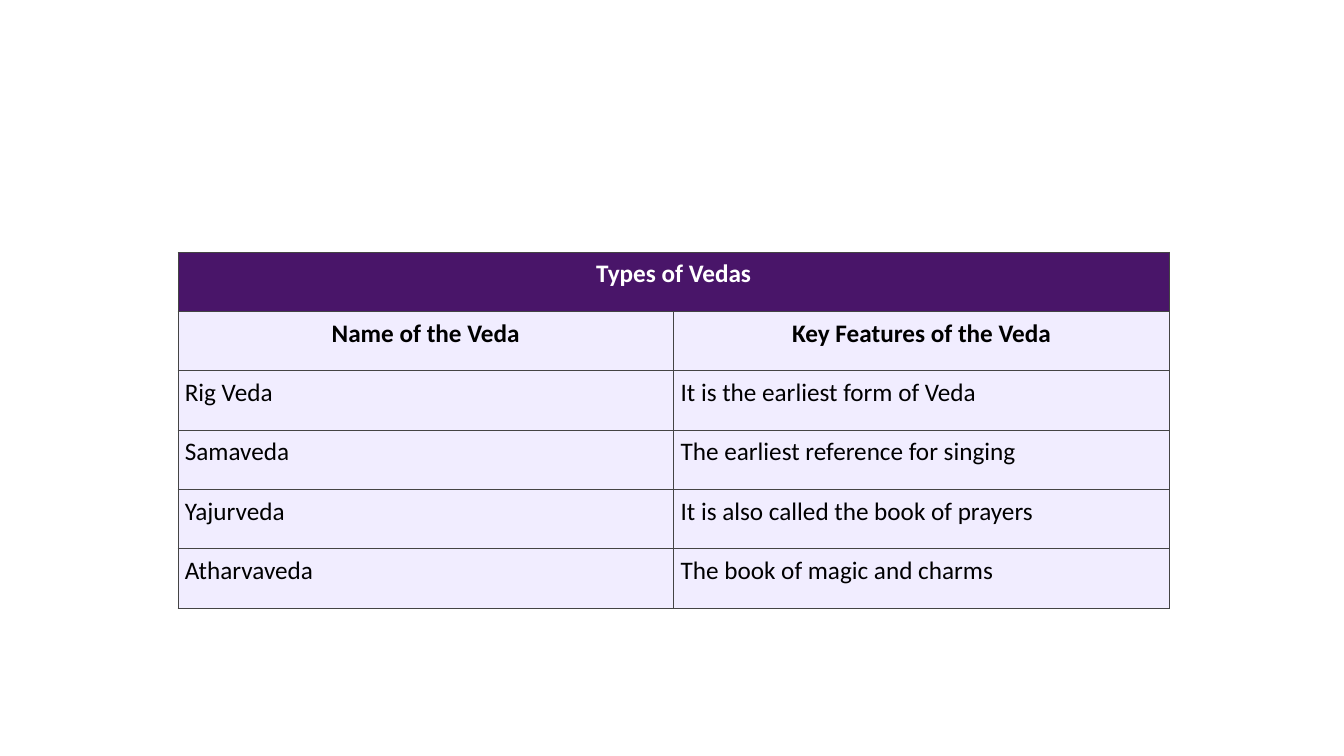
from pptx import Presentation
from pptx.dml.color import RGBColor
from pptx.enum.text import PP_ALIGN
from pptx.oxml import parse_xml
from pptx.oxml.ns import nsdecls
from pptx.util import Pt

PURPLE = RGBColor(0x49, 0x15, 0x69)
LAVENDER = RGBColor(0xF1, 0xED, 0xFF)
WHITE = RGBColor(0xFF, 0xFF, 0xFF)
BLACK = RGBColor(0x00, 0x00, 0x00)
BORDER = RGBColor(0x44, 0x44, 0x44)

BORDER_WIDTH = Pt(0.3)
CELL_MARGIN = Pt(5)

VEDAS = [
    ("Types of Vedas", ""),
    ("Name of the Veda", "Key Features of the Veda"),
    ("Rig Veda", "It is the earliest form of Veda"),
    ("Samaveda", "The earliest reference for singing"),
    ("Yajurveda", "It is also called the book of prayers"),
    ("Atharvaveda", "The book of magic and charms"),
]


def add_borders(cell):
    """Draw a thin line on all four sides of a cell."""
    properties = cell._tc.get_or_add_tcPr()
    for side in ("lnL", "lnR", "lnT", "lnB"):
        properties.append(parse_xml(
            f'<a:{side} {nsdecls("a")} w="{BORDER_WIDTH}"><a:solidFill>'
            f'<a:srgbClr val="{BORDER}"/></a:solidFill></a:{side}>'))


def format_cell(cell, text, fill, color, heading):
    add_borders(cell)
    cell.fill.solid()
    cell.fill.fore_color.rgb = fill
    cell.margin_left = cell.margin_right = CELL_MARGIN
    cell.margin_top = cell.margin_bottom = CELL_MARGIN
    cell.text = text
    paragraph = cell.text_frame.paragraphs[0]
    paragraph.alignment = PP_ALIGN.CENTER if heading else PP_ALIGN.LEFT
    paragraph.font.name = "Calibri"
    paragraph.font.size = Pt(18)
    paragraph.font.bold = heading
    paragraph.font.color.rgb = color


def add_veda_table(slide, left, top, width, height):
    """Place the table, with equal rows and columns, in the given box."""
    table = slide.shapes.add_table(
        len(VEDAS), len(VEDAS[0]), left, top, width, height).table

    # Title row spans both columns
    table.cell(0, 0).merge(table.cell(0, 1))

    # The first two rows are headings
    for row, texts in enumerate(VEDAS):
        fill, color = (PURPLE, WHITE) if row == 0 else (LAVENDER, BLACK)
        for column, text in enumerate(texts):
            format_cell(table.cell(row, column), text, fill, color, row < 2)


def main():
    presentation = Presentation()
    presentation.slide_width = Pt(960)
    presentation.slide_height = Pt(540)
    slide = presentation.slides.add_slide(presentation.slide_layouts[6])
    add_veda_table(slide, Pt(127), Pt(180), Pt(708.4), Pt(254.2))
    presentation.save("out.pptx")


if __name__ == "__main__":
    main()
